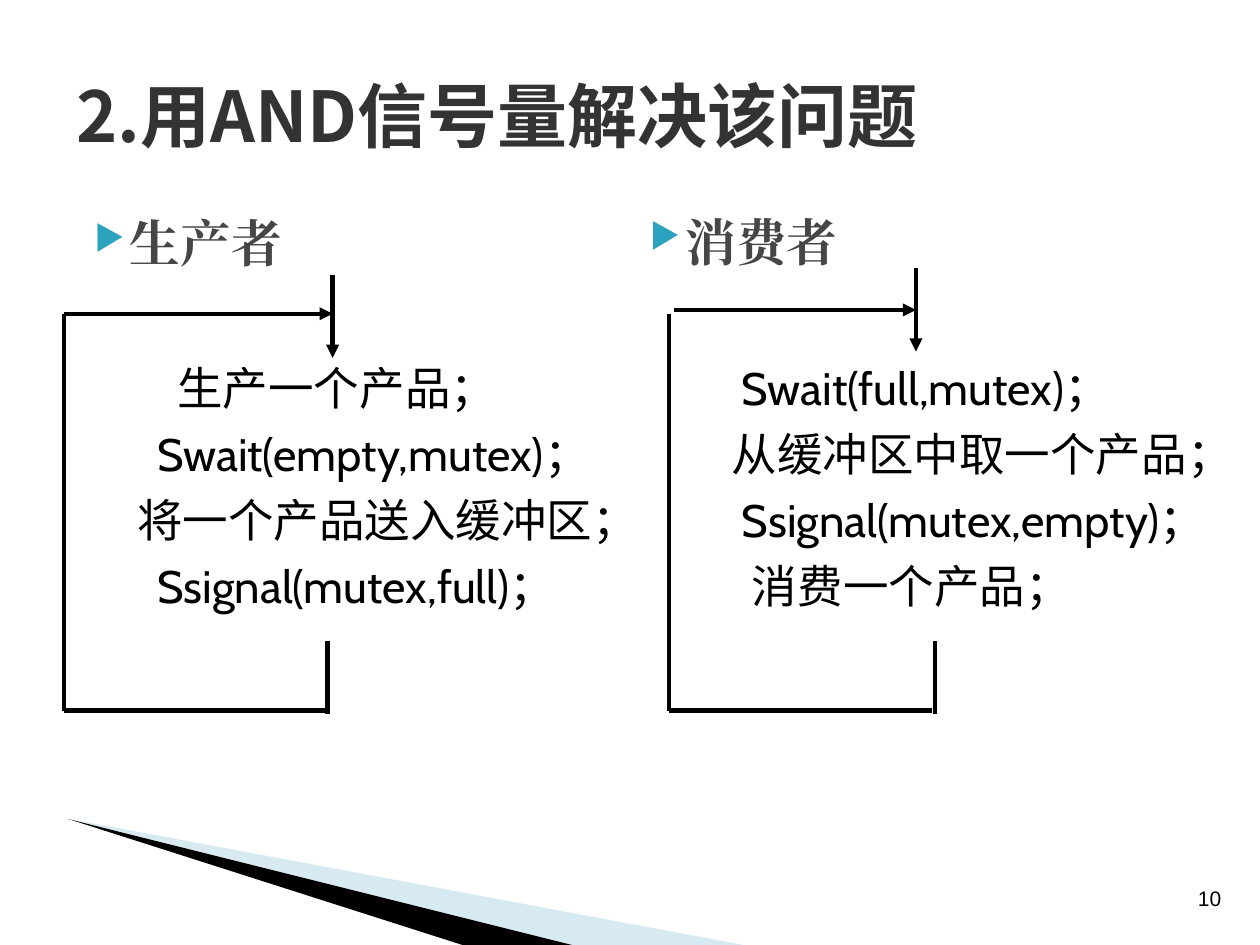
"""Build the slide on producers and consumers with AND semaphores."""
import dataclasses

import pptx
import pptx.dml.color
import pptx.enum.shapes
import pptx.enum.text
import pptx.oxml
import pptx.oxml.ns
import pptx.util

Inches = pptx.util.Inches
Pt = pptx.util.Pt
ALIGN = pptx.enum.text.PP_ALIGN
ANCHOR = pptx.enum.text.MSO_ANCHOR


@dataclasses.dataclass(frozen=True)
class Theme:
    """Hold the colours, fonts and sizes."""
    ink: str = "000000"
    title: str = "333333"
    head: str = "464646"
    mark: str = "2DA2BF"
    pale: str = "9FCBDC"
    title_font: str = "Noto Sans CJK SC"
    head_font: str = "Times New Roman"
    code_font: str = "Cabin"
    page_font: str = "Arial"
    title_size: int = 40
    head_size: int = 29
    code_size: int = 26
    page_size: int = 12
    line: float = 2.5


THEME = Theme()
LEFT = {
    "head": ("生产者", 0.53, 1.63),
    "code": (0.75, 4.58),
    "steps": [("生产一个产品；", 0.56), ("Swait(empty,mutex)；", 0.4),
              ("将一个产品送入缓冲区；", 0.24), ("Ssignal(mutex,full)；", 0.4)],
    "lines": [(2.6, 5.09, 2.6, 5.67), (2.6, 5.64, 0.51, 5.64), (0.51, 5.64, 0.51, 2.49)],
    "arrows": [(2.64, 2.18, 2.64, 2.84), (0.51, 2.49, 2.64, 2.49)],
}
RIGHT = {
    "head": ("消费者", 4.94, 1.62),
    "code": (5.47, 4.53),
    "steps": [("Swait(full,mutex)；", 0.32), ("从缓冲区中取一个产品；", 0.24),
              ("Ssignal(mutex,empty)；", 0.32), ("消费一个产品；", 0.4)],
    "lines": [(7.42, 5.09, 7.42, 5.67), (7.4, 5.64, 5.31, 5.64), (5.31, 5.64, 5.31, 2.49)],
    "arrows": [(7.27, 2.13, 7.27, 2.79), (5.35, 2.46, 7.27, 2.46)],
}


def rgb(code):
    """Turn a hex code into a colour."""
    return pptx.dml.color.RGBColor.from_string(code)


def put(item, form):
    """Set each format value on an item."""
    for name, value in form.items():
        setattr(item, name, value)


def add_node(parent, tag, **values):
    """Append a drawing element with its attributes."""
    node = pptx.oxml.parse_xml(f"<a:{tag} {pptx.oxml.ns.nsdecls('a')}/>")
    for name, value in values.items():
        node.set(name, value)
    parent.append(node)
    return node


def add_box(slide, x, y, w, h, **form):
    """Add an empty text box and return its frame."""
    frame = slide.shapes.add_textbox(Inches(x), Inches(y), Inches(w), Inches(h)).text_frame
    put(frame, {"word_wrap": True, **form})
    return frame


def add_words(para, text, face, size, tint, bold=False):
    """Write one run in the given face, size and colour."""
    run = para.add_run()
    run.text = text
    put(run.font, {"name": face, "size": Pt(size), "bold": bold})
    run.font.color.rgb = rgb(tint)
    add_node(run.font._element, "ea", typeface=face)


def set_indent(para, left, first=0):
    """Set the left and first line indents."""
    props = para._p.get_or_add_pPr()
    props.set("marL", str(Inches(left)))
    props.set("indent", str(Inches(first)))
    return props


def add_head(slide, text, x, y):
    """Add a bulleted heading."""
    para = add_box(slide, x, y, 4.42, 0.65).paragraphs[0]
    props = set_indent(para, 0.4, -0.28)
    add_node(add_node(props, "buClr"), "srgbClr", val=THEME.mark)
    add_node(props, "buSzPct", val="68000")
    add_node(props, "buChar", char="▶")
    add_words(para, text, THEME.head_font, THEME.head_size, THEME.head, True)


def add_code(slide, x, w, steps):
    """Add the steps of one process."""
    frame = add_box(slide, x, 2.81, w, 4)
    for i, (text, left) in enumerate(steps):
        para = frame.add_paragraph() if i else frame.paragraphs[0]
        set_indent(para, left)
        put(para, {"alignment": ALIGN.JUSTIFY, "space_before": Pt(6.5 if i else 0)})
        add_words(para, text, THEME.code_font, THEME.code_size, THEME.ink)


def add_line(slide, ends, arrow=False):
    """Add a straight line, with an arrowhead if asked."""
    kind = pptx.enum.shapes.MSO_CONNECTOR.STRAIGHT
    link = slide.shapes.add_connector(kind, *map(Inches, ends))
    link.line.width = Pt(THEME.line)
    link.line.color.rgb = rgb(THEME.ink)
    if arrow:
        add_node(link.line._get_or_add_ln(), "tailEnd", type="triangle")
    add_node(link._element.spPr, "effectLst")


def add_wedge(slide, points, tint, alpha=None):
    """Add a filled wedge at the foot of the slide."""
    start, *rest = [(Inches(x), Inches(y)) for x, y in points]
    build = slide.shapes.build_freeform(*start)
    build.add_line_segments(rest)
    wedge = build.convert_to_shape()
    wedge.shadow.inherit = False
    wedge.fill.solid()
    wedge.fill.fore_color.rgb = rgb(tint)
    wedge.line.fill.background()
    if alpha:
        color = wedge._element.spPr.find(".//" + pptx.oxml.ns.qn("a:srgbClr"))
        add_node(color, "alpha", val=str(alpha * 1000))


def add_side(slide, side):
    """Add one process with its heading and loop."""
    add_head(slide, *side["head"])
    add_code(slide, *side["code"], side["steps"])
    for ends in side["lines"]:
        add_line(slide, ends)
    for ends in side["arrows"]:
        add_line(slide, ends, True)


def main():
    """Build and save the slide."""
    deck = pptx.Presentation()
    put(deck, {"slide_width": Inches(10), "slide_height": Inches(7.5)})
    slide = deck.slides.add_slide(deck.slide_layouts[6])
    add_wedge(slide, [(0.55, 6.5), (5.9, 7.5), (4.54, 7.5)], THEME.pale, 40)
    add_wedge(slide, [(0.54, 6.5), (4.54, 7.5), (3.67, 7.5)], THEME.ink)
    page = add_box(slide, 9.12, 6.98, 0.96, 0.3, word_wrap=False, vertical_anchor=ANCHOR.MIDDLE)
    page.paragraphs[0].alignment = ALIGN.CENTER
    add_words(page.paragraphs[0], "10", THEME.page_font, THEME.page_size, THEME.ink)
    title = add_box(slide, 0.51, 0.28, 9, 1.25, vertical_anchor=ANCHOR.MIDDLE)
    add_words(title.paragraphs[0], "2.用AND信号量解决该问题", THEME.title_font,
              THEME.title_size, THEME.title, True)
    for side in (LEFT, RIGHT):
        add_side(slide, side)
    deck.save("out.pptx")


if __name__ == "__main__":
    main()
